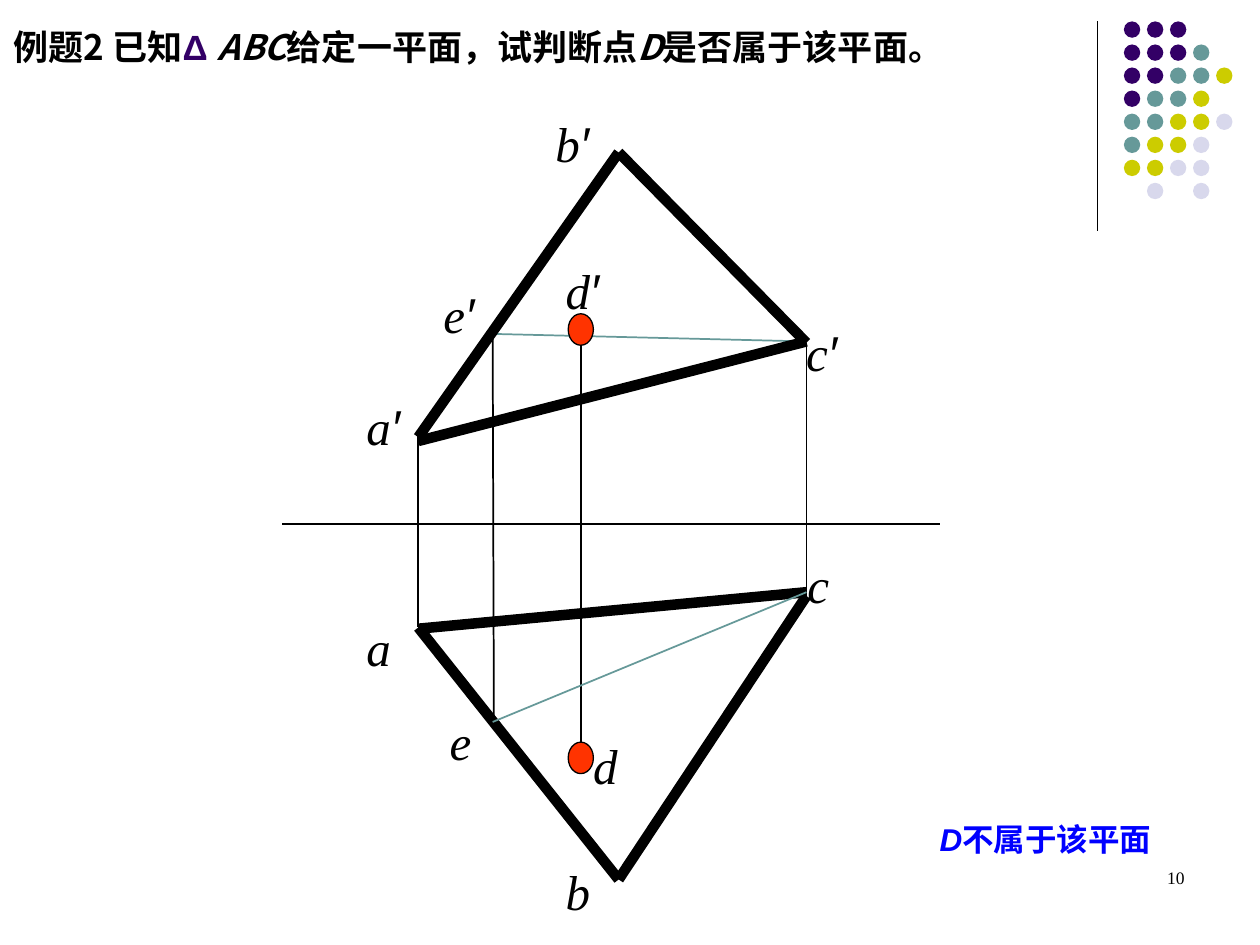
from lxml.etree import SubElement
from pptx import Presentation
from pptx.dml.color import RGBColor
from pptx.enum.shapes import MSO_CONNECTOR, MSO_SHAPE
from pptx.enum.text import MSO_AUTO_SIZE, PP_ALIGN
from pptx.oxml.ns import qn
from pptx.util import Inches, Pt

COLORS = {
    "black": "000000", "purple": "330066", "teal": "669999", "olive": "CCCC00",
    "lavender": "D8D8EC", "red": "FF3300", "blue": "0000FF",
}
CJK = "Noto Sans CJK SC"
SERIF = "Times New Roman"
SANS = "Arial"

DOT_COLORS = {"P": "purple", "T": "teal", "O": "olive", "L": "lavender"}
DOT_ROWS = ["PPP", "PPPT", "PPTTO", "PTTO", "TTOOL", "TOOL", "OOLL", " L L"]
DOT_PITCH = 0.183

# start x, start y, end x, end y
PROJECTORS = [
    (3.32, 3.41, 3.32, 4.98),
    (6.4, 2.72, 6.4, 4.73),
    (3.91, 2.61, 3.92, 5.69),
    (4.61, 2.61, 4.61, 5.99),
]
AXIS = (2.24, 4.16, 7.46, 4.16)
TRIANGLE_SIDES = [
    (3.32, 3.47, 4.91, 1.21),
    (4.91, 1.21, 6.4, 2.72),
    (3.32, 3.5, 6.4, 2.71),
    (4.91, 6.98, 6.4, 4.73),
    (3.32, 4.98, 4.91, 6.98),
    (3.32, 4.99, 6.4, 4.7),
]
FRONT_AUXILIARY = (6.4, 2.71, 3.91, 2.65)
TOP_AUXILIARY = (3.91, 5.73, 6.4, 4.7)
POINT_TOPS = [2.49, 5.89]
LABELS = [
    ("a′", 2.81, 3.1), ("b′", 4.31, 0.85), ("c′", 6.3, 2.51),
    ("d′", 4.39, 2.02), ("e′", 3.42, 2.21),
    ("a", 2.81, 4.85), ("b", 4.39, 6.79), ("c", 6.31, 4.35),
    ("d", 4.61, 5.79), ("e", 3.47, 5.6),
]


class SlideBuilder:
    def __init__(self, slide):
        self.slide = slide

    def color(self, name):
        return RGBColor.from_string(COLORS[name])

    def line(self, ends, width=1, color="black"):
        connector = self.slide.shapes.add_connector(
            MSO_CONNECTOR.STRAIGHT, *(Inches(value) for value in ends))
        connector.line.color.rgb = self.color(color)
        connector.line.width = Pt(width)
        SubElement(connector._element.spPr, qn("a:effectLst"))

    def ellipse(self, left, top, width, height, fill, outlined=False):
        shape = self.slide.shapes.add_shape(
            MSO_SHAPE.OVAL, Inches(left), Inches(top), Inches(width), Inches(height))
        shape.shadow.inherit = False
        shape.fill.solid()
        shape.fill.fore_color.rgb = self.color(fill)
        if outlined:
            shape.line.color.rgb = self.color("black")
            shape.line.width = Pt(0.75)
        else:
            shape.line.fill.background()

    def text(self, box, runs, size, wrap=True, align=PP_ALIGN.LEFT, fit=True):
        """Add a one-paragraph box; each run is (text, font, color, bold, italic)."""
        shape = self.slide.shapes.add_textbox(*(Inches(value) for value in box))
        frame = shape.text_frame
        frame.word_wrap = wrap
        frame.auto_size = MSO_AUTO_SIZE.SHAPE_TO_FIT_TEXT if fit else MSO_AUTO_SIZE.NONE
        paragraph = frame.paragraphs[0]
        paragraph.alignment = align
        for content, name, color, bold, italic in runs:
            run = paragraph.add_run()
            run.text = content
            font = run.font
            font.size = Pt(size)
            font.bold = bold
            font.italic = italic
            font.color.rgb = self.color(color)
            font.name = name
            SubElement(run._r.get_or_add_rPr(), qn("a:ea"), typeface=CJK)

    def label(self, content, left, top):
        runs = [(content[0], SERIF, "black", False, True)]
        if len(content) > 1:
            runs.append((content[1], SANS, "black", False, True))
        self.text((left, top, 0.7, 0.57), runs, 28)

    def dot_pattern(self, left, top):
        for row, codes in enumerate(DOT_ROWS):
            for column, code in enumerate(codes):
                if code in DOT_COLORS:
                    self.ellipse(left + column * DOT_PITCH, top + row * DOT_PITCH,
                                 0.13, 0.13, DOT_COLORS[code])


def main():
    presentation = Presentation()
    presentation.slide_width = Inches(10)
    presentation.slide_height = Inches(7.5)
    builder = SlideBuilder(presentation.slides.add_slide(presentation.slide_layouts[6]))

    builder.line((8.71, 0.17, 8.71, 1.83), 0.75)
    builder.dot_pattern(8.92, 0.17)

    builder.line(FRONT_AUXILIARY, color="teal")
    for ends in [*PROJECTORS, AXIS]:
        builder.line(ends)
    for top in POINT_TOPS:
        builder.ellipse(4.51, top, 0.2, 0.25, "red", outlined=True)
    for ends in TRIANGLE_SIDES:
        builder.line(ends, 6)
    builder.line(TOP_AUXILIARY, color="teal")
    for label in LABELS:
        builder.label(*label)

    builder.text((0.01, 0.15, 7.98, 0.44), [
        ("例题2 已知", CJK, "black", True, False),
        ("Δ ", SANS, "purple", True, False),
        ("ABC", CJK, "black", True, True),
        ("给定一平面，试判断点", CJK, "black", True, False),
        ("D", CJK, "black", True, True),
        ("是否属于该平面。", CJK, "black", True, False),
    ], 20, wrap=False)
    builder.text((7.36, 6.46, 1.94, 0.4), [
        ("D", SANS, "blue", True, True),
        ("不属于该平面", SANS, "blue", True, False),
    ], 18, wrap=False)
    builder.text((7.17, 6.83, 2.33, 0.5), [("10", SERIF, "black", False, False)],
                 10, align=PP_ALIGN.RIGHT, fit=False)

    presentation.save("out.pptx")


if __name__ == "__main__":
    main()
